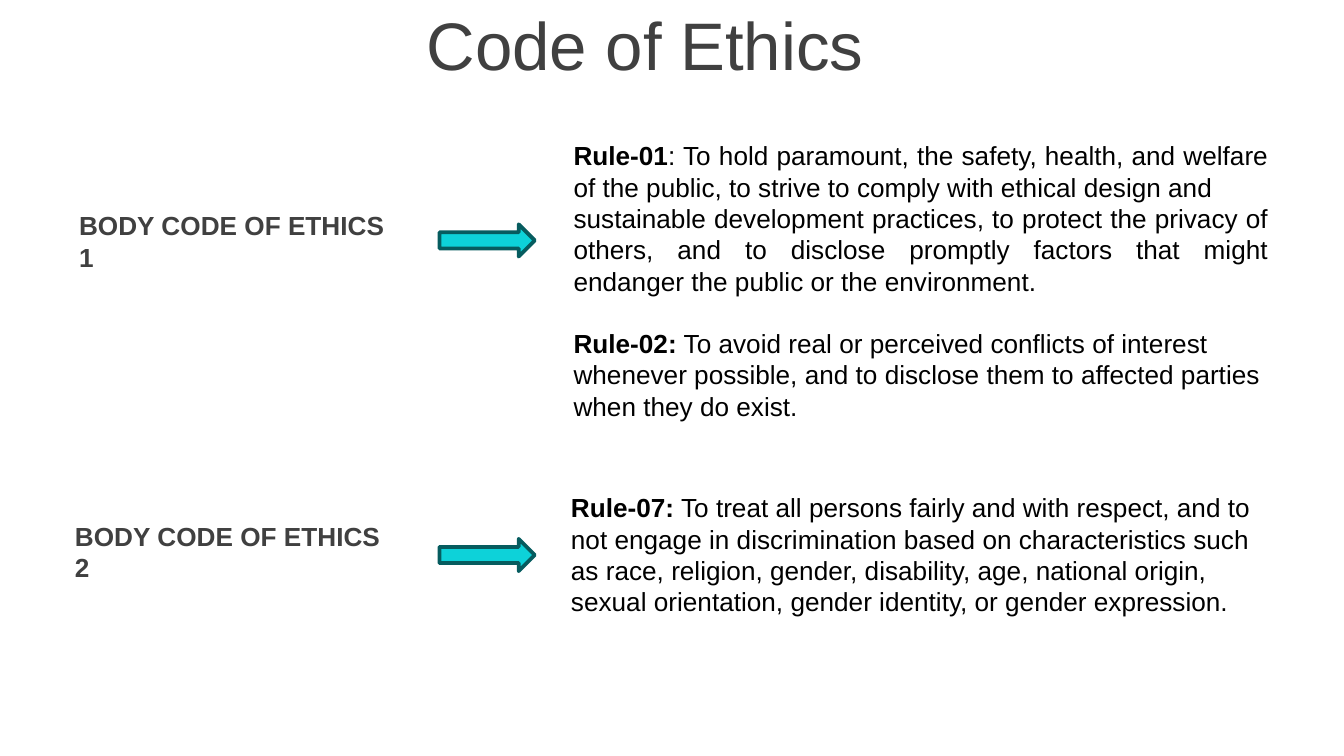
from pptx import Presentation
from pptx.dml.color import RGBColor
from pptx.enum.shapes import MSO_SHAPE
from pptx.enum.text import MSO_ANCHOR, PP_ALIGN
from pptx.util import Pt

LEFT, CENTER, JUSTIFY = PP_ALIGN.LEFT, PP_ALIGN.CENTER, PP_ALIGN.JUSTIFY
TOP, MIDDLE = MSO_ANCHOR.TOP, MSO_ANCHOR.MIDDLE
RIGHT_ARROW = MSO_SHAPE.RIGHT_ARROW

THEME = {
    "font": "Arial",
    "title_size": 36,
    "body_size": 14,
    "heading": RGBColor(0x40, 0x40, 0x40),
    "body": RGBColor(0, 0, 0),
    "arrow_fill": RGBColor(0x0D, 0xD2, 0xD9),
    "arrow_line": RGBColor(0x06, 0x5C, 0x5F),
}

TITLE = "Code of Ethics"
# Each rule: bold lead, paragraphs that follow it, alignment.
RULE_1 = ("Rule-01", [
    ": To hold paramount, the safety, health, and welfare ",
    "of the public, to strive to comply with ethical design and ",
    "sustainable development practices, to protect the privacy of others, "
    "and to disclose promptly factors that might endanger the public or the environment.",
], JUSTIFY)
RULE_2 = ("Rule-02:", [
    " To avoid real or perceived conflicts of interest",
    "whenever possible, and to disclose them to affected parties when they do exist.",
], LEFT)
RULE_7 = ("Rule-07:", [
    " To treat all persons fairly and with respect, and to",
    "not engage in discrimination based on characteristics such",
    "as race, religion, gender, disability, age, national origin,",
    "sexual orientation, gender identity, or gender expression.",
], LEFT)
# Boxes are left, top, width, height in points.
SECTIONS = [
    {"label": "BODY CODE OF ETHICS 1", "label_box": (35.3, 79.2, 187.2, 100),
     "arrow_top": 120.2, "rules": [RULE_1, RULE_2], "rules_box": (300.2, 71.3, 386.6, 177)},
    {"label": "BODY CODE OF ETHICS 2", "label_box": (33.1, 245.5, 187.2, 100),
     "arrow_top": 288.7, "rules": [RULE_7], "rules_box": (298.8, 259.9, 386.6, 75)},
]
TITLE_BOX = (-14.4, 0.7, 720, 45.4)
ARROW_LEFT, ARROW_WIDTH, ARROW_HEIGHT = 235.4, 51.1, 17.3
RULE_GAP = 16.5


def add_text_frame(slide, box, anchor):
    text_frame = slide.shapes.add_textbox(*map(Pt, box)).text_frame
    text_frame.word_wrap = True
    text_frame.vertical_anchor = anchor
    return text_frame


def style(font, size, color, bold=False):
    font.name = THEME["font"]
    font.size = Pt(size)
    font.color.rgb = color
    font.bold = bold


def add_heading(slide, text, box, size, alignment=LEFT, bold=False):
    text_frame = add_text_frame(slide, box, MIDDLE)
    text_frame.text = text
    paragraph = text_frame.paragraphs[0]
    paragraph.alignment = alignment
    style(paragraph.runs[0].font, size, THEME["heading"], bold)


def add_arrow(slide, top):
    arrow = slide.shapes.add_shape(
        RIGHT_ARROW, Pt(ARROW_LEFT), Pt(top), Pt(ARROW_WIDTH), Pt(ARROW_HEIGHT))
    arrow.shadow.inherit = False
    arrow.fill.solid()
    arrow.fill.fore_color.rgb = THEME["arrow_fill"]
    arrow.line.color.rgb = THEME["arrow_line"]
    arrow.line.width = Pt(2)


def add_rules(slide, rules, box):
    text_frame = add_text_frame(slide, box, TOP)
    paragraph = text_frame.paragraphs[0]
    for rule_index, (lead, lines, alignment) in enumerate(rules):
        for line_index, line in enumerate(lines):
            if rule_index or line_index:
                paragraph = text_frame.add_paragraph()
            paragraph.alignment = alignment
            if line_index == 0:
                paragraph.text = lead
                style(paragraph.runs[0].font, THEME["body_size"], THEME["body"], bold=True)
                if rule_index:
                    paragraph.space_before = Pt(RULE_GAP)
            run = paragraph.add_run()
            run.text = line
            style(run.font, THEME["body_size"], THEME["body"])


presentation = Presentation()
presentation.slide_width, presentation.slide_height = Pt(720), Pt(405)
slide = presentation.slides.add_slide(presentation.slide_layouts[6])

for section in SECTIONS:
    add_heading(slide, section["label"], section["label_box"], THEME["body_size"], bold=True)
    add_arrow(slide, section["arrow_top"])
    add_rules(slide, section["rules"], section["rules_box"])
add_heading(slide, TITLE, TITLE_BOX, THEME["title_size"], CENTER)

presentation.save("out.pptx")
